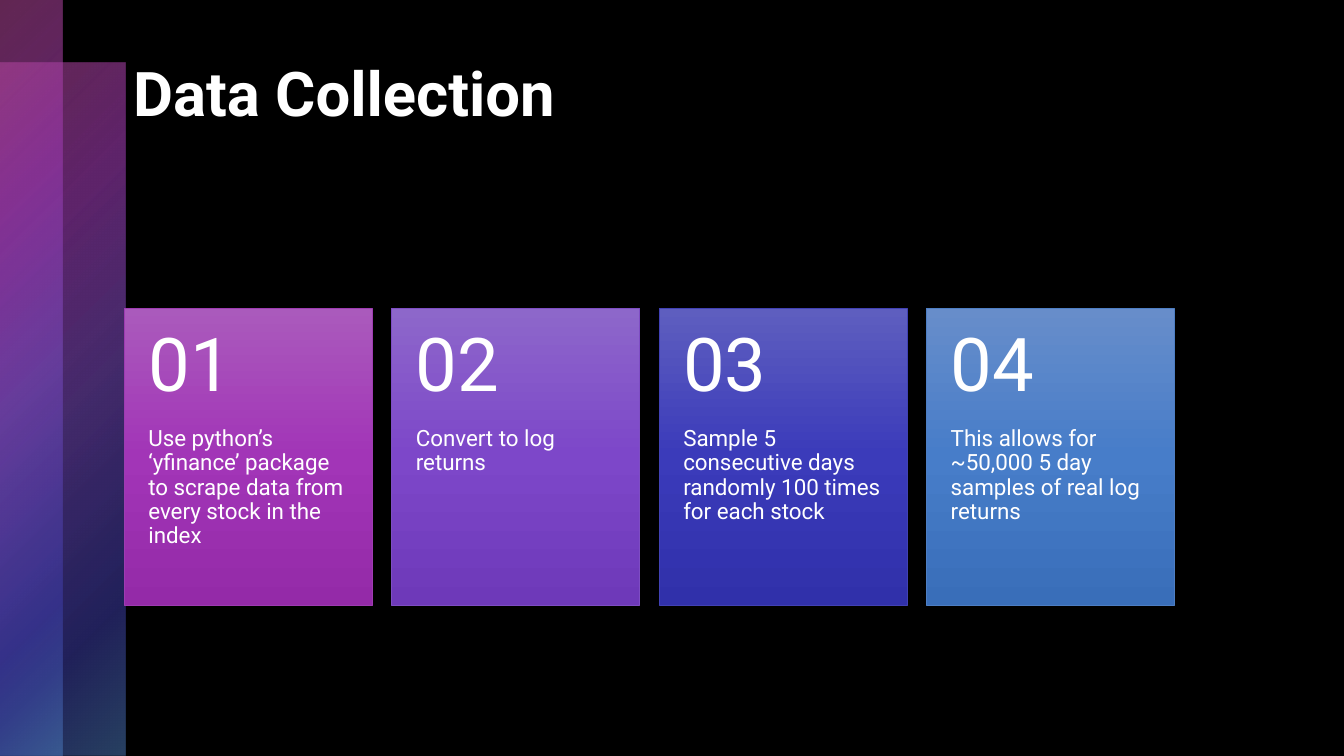
from dataclasses import dataclass

from pptx import Presentation
from pptx.dml.color import RGBColor as Rgb
from pptx.enum.shapes import MSO_SHAPE as Kind
from pptx.enum.text import MSO_ANCHOR as Anchor, PP_ALIGN as Align
from pptx.oxml import parse_xml as make
from pptx.oxml.ns import nsdecls
from pptx.util import Cm, Pt


@dataclass(frozen=True)
class Theme:
    font: str = "Roboto"
    back: str = "000000"
    text: str = "FFFFFF"
    title: int = 44
    number: int = 53
    body: int = 16


@dataclass(frozen=True)
class Box:
    left: float
    top: float
    width: float
    height: float

    def place(self) -> tuple:
        return Cm(self.left), Cm(self.top), Cm(self.width), Cm(self.height)


@dataclass(frozen=True)
class Stop:
    at: int
    color: str
    alpha: int = 100


@dataclass(frozen=True)
class Card:
    text: str
    line: str
    shades: tuple


THEME = Theme()
FADE = (Stop(0, "C34DA5", 50), Stop(25, "9E3BB1", 60), Stop(50, "7E4DC3", 55),
        Stop(81, "4141B4", 50), Stop(99, "4D7EC3", 50))
ROUND = '<a:path path="circle"><a:fillToRect r="100000" b="100000"/></a:path>'
DOWN = '<a:lin ang="5400000" scaled="0"/>'
BARS = (Box(0, 1.58, 3.16, 17.47), Box(0, 0, 1.58, 19.05))
CARDS = (
    Card("Use python’s ‘yfinance’ package to scrape data from every stock in the index",
         "9E3BB1", ("AA5ABC", "A235B7", "942AA8")),
    Card("Convert to log returns",
         "7E4DC3", ("8D67CA", "7D47C9", "6E39B9")),
    Card("Sample 5 consecutive days randomly 100 times for each stock",
         "4141B4", ("5E5EBF", "3B3BBA", "3030AA")),
    Card("This allows for ~50,000 5 day samples of real log returns",
         "4D7EC3", ("678DCA", "477DC9", "396EB9")),
)
LEFT, TOP, WIDTH, HEAD, BODY, STEP = 3.13, 7.77, 6.25, 3, 4.48, 6.74


def blend(shape, stops: tuple, mode: str) -> None:
    marks = "".join(
        f'<a:gs pos="{stop.at * 1000}"><a:srgbClr val="{stop.color}">'
        f'<a:alpha val="{stop.alpha * 1000}"/></a:srgbClr></a:gs>'
        for stop in stops)
    shape.fill.solid()
    props = shape._element.spPr
    old = props.find("{*}solidFill")
    props.replace(old, make(f'<a:gradFill {nsdecls("a")} rotWithShape="1">'
                            f'<a:gsLst>{marks}</a:gsLst>{mode}</a:gradFill>'))


def panel(shapes, box: Box, stops: tuple, mode: str):
    shape = shapes.add_shape(Kind.RECTANGLE, *box.place())
    shape.shadow.inherit = False
    blend(shape, stops, mode)
    return shape


def write(shape, text: str, size: int, bold: bool = False) -> None:
    frame = shape.text_frame
    frame.word_wrap = True
    frame.text = text
    para = frame.paragraphs[0]
    para.alignment = Align.LEFT
    font = para.runs[0].font
    font.name, font.size, font.bold = THEME.font, Pt(size), bold
    font.color.rgb = Rgb.from_string(THEME.text)


def label(shapes, box: Box, text: str, size: int, anchor: Anchor,
          above: float, below: float) -> None:
    shape = shapes.add_textbox(*box.place())
    write(shape, text, size)
    frame = shape.text_frame
    frame.vertical_anchor = anchor
    frame.margin_left = frame.margin_right = Cm(0.61)
    frame.margin_top, frame.margin_bottom = Cm(above), Cm(below)
    frame.paragraphs[0].line_spacing = 0.9


def draw(shapes, index: int, card: Card) -> None:
    left = LEFT + index * STEP
    stops = tuple(Stop(50 * i, shade) for i, shade in enumerate(card.shades))
    shape = panel(shapes, Box(left, TOP, WIDTH, HEAD + BODY), stops, DOWN)
    shape.line.color.rgb = Rgb.from_string(card.line)
    shape.line.width = Pt(0.5)
    label(shapes, Box(left, TOP + HEAD, WIDTH, BODY), card.text,
          THEME.body, Anchor.TOP, 0, 0.91)
    label(shapes, Box(left, TOP, WIDTH, HEAD), f"{index + 1:02}",
          THEME.number, Anchor.MIDDLE, 0.46, 0.46)


def main() -> None:
    deck = Presentation()
    deck.slide_width, deck.slide_height = Cm(33.87), Cm(19.05)
    slide = deck.slides.add_slide(deck.slide_layouts[5])
    slide.background.fill.solid()
    slide.background.fill.fore_color.rgb = Rgb.from_string(THEME.back)
    shapes = slide.shapes
    title = shapes.title
    for bar in BARS:
        panel(shapes, bar, FADE, ROUND).line.fill.background()
    shapes._spTree.append(title._element)
    title.left, title.top, title.width, title.height = Box(3.1, 1.25, 26.34, 4.32).place()
    write(title, "Data Collection", THEME.title, True)
    title.text_frame.vertical_anchor = Anchor.TOP
    group = shapes.add_group_shape()
    for index, card in enumerate(CARDS):
        draw(group.shapes, index, card)
    deck.save("out.pptx")


if __name__ == "__main__":
    main()
